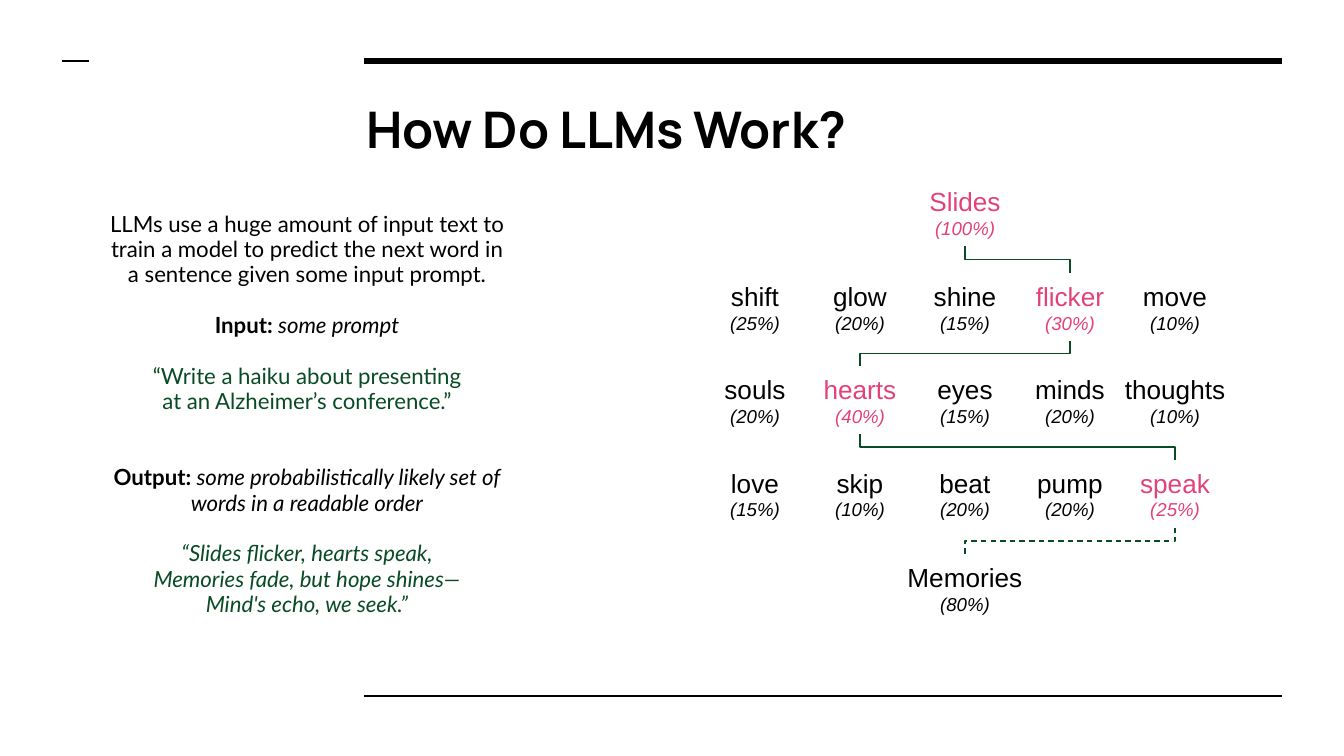
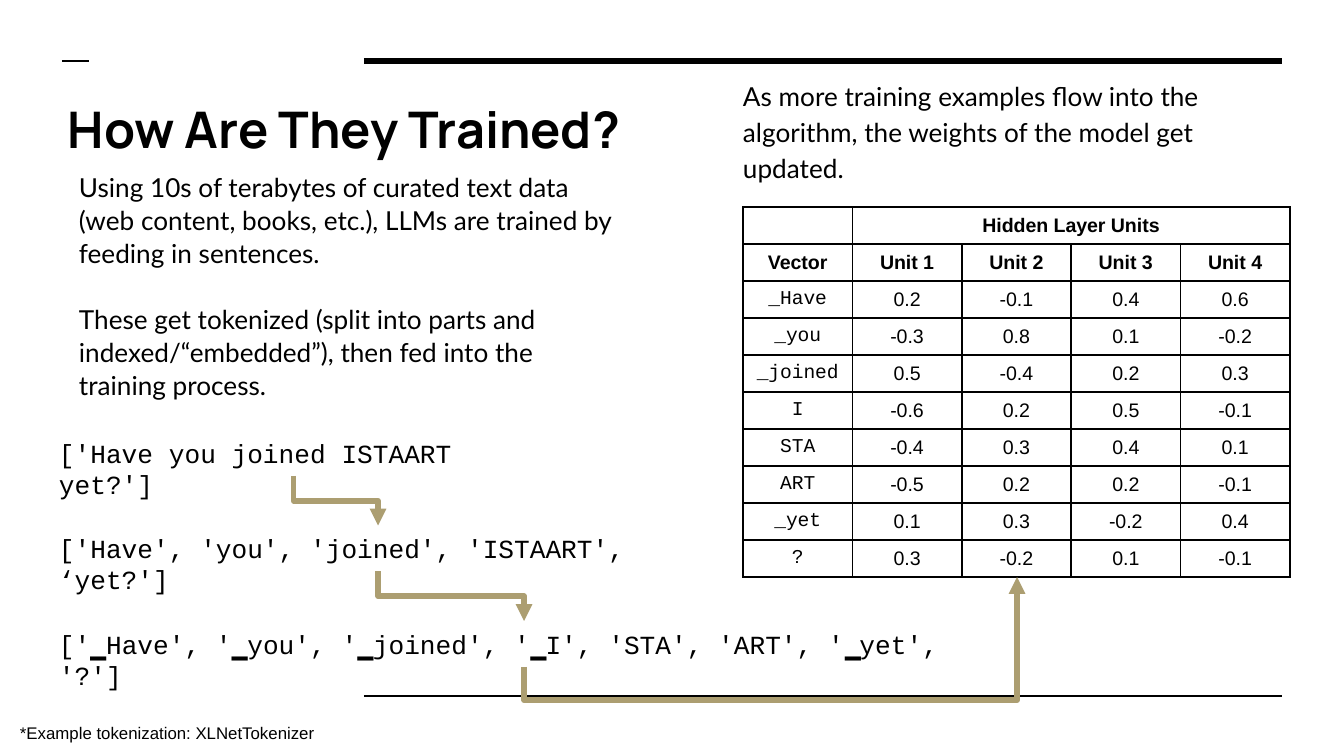
from lxml.etree import SubElement
from pptx import Presentation
from pptx.dml.color import RGBColor
from pptx.enum.dml import MSO_LINE
from pptx.enum.shapes import MSO_CONNECTOR as CONN
from pptx.enum.text import MSO_ANCHOR, MSO_AUTO_SIZE as AUTO, PP_ALIGN
from pptx.oxml import parse_xml
from pptx.oxml.ns import nsdecls, qn
from pptx.util import Pt

W, H = 1344, 756
EMU_PER_PX = 9144000 / W

BLACK = RGBColor(0x00, 0x00, 0x00)
GREEN = RGBColor(0x08, 0x4B, 0x25)
PINK = RGBColor(0xE3, 0x41, 0x7A)
GOLD = RGBColor(0xAC, 0x9E, 0x71)

TITLE_FONT, BODY_FONT, LABEL_FONT, CODE_FONT = "Manrope", "Lato", "Arial", "Courier New"
LABEL_INSETS = (13, 7, 13, 7)
TITLE_INSETS = (13, 13, 13, 13)
BODY_INSETS = (33, 13, 13, 13)

# Each paragraph: space before in points, then runs of (text, bold, italic, colour)
HOW_TEXT = [
    (0, [("LLMs use a huge amount of input text to train a model to predict "
          "the next word in a sentence given some input prompt.", False, False, BLACK)]),
    (13.6, [("Input: ", True, False, BLACK), ("some prompt", False, True, BLACK)]),
    (13.6, [("“Write a haiku about presenting", False, False, GREEN)]),
    (0, [("at an Alzheimer’s conference.”", False, False, GREEN)]),
    (27.2, [("Output: ", True, False, BLACK),
            ("some probabilistically likely set of words in a readable order",
             False, True, BLACK)]),
    (13.6, [("“Slides flicker, hearts speak,", False, True, GREEN)]),
    (0, [("Memories fade, but hope shines—", False, True, GREEN)]),
    (0, [("Mind's echo, we seek.”", False, True, GREEN)]),
]

# Each row: top, chosen column, and column -> (word, percent, width)
WORD_ROWS = [
    (0, 2, {2: ("Slides", 100, 99)}),
    (95, 3, {0: ("shift", 25, 78), 1: ("glow", 20, 82), 2: ("shine", 15, 90),
             3: ("flicker", 30, 95), 4: ("move", 10, 91)}),
    (188, 1, {0: ("souls", 20, 89), 1: ("hearts", 40, 101), 2: ("eyes", 15, 83),
              3: ("minds", 20, 97), 4: ("thoughts", 10, 128)}),
    (282, 4, {0: ("love", 15, 78), 1: ("skip", 10, 78), 2: ("beat", 20, 78),
              3: ("pump", 20, 93), 4: ("speak", 25, 97)}),
    (376, 2, {2: ("Memories", 80, 142)}),
]

TRAIN_TEXT = [
    "Using 10s of terabytes of curated text data (web content, books, etc.), "
    "LLMs are trained by feeding in sentences.",
    "These get tokenized (split into parts and indexed/“embedded”), "
    "then fed into the training process.",
]
WEIGHTS_TEXT = ["As more training examples flow into the algorithm, "
                "the weights of the model get updated."]
TOKEN_STEPS = [
    ("['Have you joined ISTAART yet?']", 495),
    ("['Have', 'you', 'joined', 'ISTAART', ‘yet?']", 664),
    ("['▁Have', '▁you', '▁joined', '▁I', 'STA', 'ART', '▁yet', '?']", 956),
]
VECTORS = [
    ("_Have", 0.2, -0.1, 0.4, 0.6),
    ("_you", -0.3, 0.8, 0.1, -0.2),
    ("_joined", 0.5, -0.4, 0.2, 0.3),
    ("I", -0.6, 0.2, 0.5, -0.1),
    ("STA", -0.4, 0.3, 0.4, 0.1),
    ("ART", -0.5, 0.2, 0.2, -0.1),
    ("_yet", 0.1, 0.3, -0.2, 0.4),
    ("?", 0.3, -0.2, 0.1, -0.1),
]


def px(n):
    return round(n * EMU_PER_PX)


def style(font, name, size, color=BLACK, bold=False, italic=False):
    font.name, font.size, font.bold, font.italic = name, Pt(size), bold, italic
    font.color.rgb = color


def add_box(slide, box, insets=LABEL_INSETS, wrap=True, grow=False):
    """Add an empty text box and return its text frame."""
    tf = slide.shapes.add_textbox(*map(px, box)).text_frame
    tf.margin_left, tf.margin_top, tf.margin_right, tf.margin_bottom = map(px, insets)
    tf.word_wrap = wrap
    tf.auto_size = AUTO.SHAPE_TO_FIT_TEXT if grow else AUTO.NONE
    return tf


def paragraph(tf, index):
    return tf.paragraphs[0] if index == 0 else tf.add_paragraph()


def add_line(slide, kind, points, color, width):
    line = slide.shapes.add_connector(kind, *map(px, points))
    line.line.color.rgb, line.line.width = color, Pt(width)
    SubElement(line._element.spPr, qn("a:effectLst"))
    return line


def add_elbow(slide, x1, y1, x2, y2, color, width, bend=None, arrow=False):
    """Join two points by a line that leaves and arrives vertically."""
    cx, cy = (x1 + x2) / 2, (y1 + y2) / 2
    turn = 1 if y2 < y1 else -1
    dx, dy = turn * (x2 - x1) / 2, turn * (y2 - y1) / 2
    line = add_line(slide, CONN.ELBOW, (cx - dy, cy + dx, cx + dy, cy - dx), color, width)
    sp_pr = line._element.spPr
    sp_pr.find(qn("a:xfrm")).set("rot", str(turn * 90 % 360 * 60000))
    if bend is not None:
        guides = sp_pr.find(qn("a:prstGeom")).find(qn("a:avLst"))
        SubElement(guides, qn("a:gd"), name="adj1", fmla=f"val {round(bend * 100000)}")
    if arrow:
        SubElement(sp_pr.find(qn("a:ln")), qn("a:tailEnd"), type="triangle")
    return line


def add_base(prs, title, box):
    """Add a slide with the shared rules and a title."""
    slide = prs.slides.add_slide(prs.slide_layouts[6])
    for x1, x2, y, width in ((364, 1282, 61, 3), (364, 1282, 696, 1.5), (62, 89, 61, 1.5)):
        add_line(slide, CONN.STRAIGHT, (x1, y, x2, y), BLACK, width)
    p = add_box(slide, box, TITLE_INSETS).paragraphs[0]
    p.text = title
    style(p.font, TITLE_FONT, 27, bold=True)
    return slide


def add_how_text(slide, box):
    tf = add_box(slide, box, BODY_INSETS)
    for i, (before, runs) in enumerate(HOW_TEXT):
        p = paragraph(tf, i)
        p.alignment, p.line_spacing = PP_ALIGN.CENTER, 0.95
        if before:
            p.space_before = Pt(before)
        for text, bold, italic, color in runs:
            r = p.add_run()
            r.text = text
            style(r.font, BODY_FONT, 11.9, color, bold, italic)


def add_word_tree(slide, left, top):
    """Draw rows of candidate words; left is the centre of the first column."""
    pitch, height = 105, 68
    for i, (row_top, chosen, words) in enumerate(WORD_ROWS):
        y = top + row_top
        last = i == len(WORD_ROWS) - 1
        for col, (word, percent, width) in words.items():
            box = (left + col * pitch - width / 2, y, width, height)
            tf = add_box(slide, box, wrap=False, grow=True)
            color = PINK if col == chosen and not last else BLACK
            for j, (text, size) in enumerate(((word, 14), (f"({percent}%)", 10))):
                p = paragraph(tf, j)
                p.text, p.alignment = text, PP_ALIGN.CENTER
                style(p.font, LABEL_FONT, size, color, italic=j == 1)
        if not last:
            next_top, next_chosen, _ = WORD_ROWS[i + 1]
            ends = sorted([(left + chosen * pitch, y + height),
                           (left + next_chosen * pitch, top + next_top)])
            line = add_elbow(slide, *ends[0], *ends[1], GREEN, 0.75)
            if i == len(WORD_ROWS) - 2:
                line.line.dash_style = MSO_LINE.DASH


def add_body(slide, box, texts, spacing):
    tf = add_box(slide, box, BODY_INSETS)
    for i, text in enumerate(texts):
        p = paragraph(tf, i)
        p.text, p.line_spacing = text, spacing
        if i:
            p.space_before = Pt(17.6)
        style(p.font, BODY_FONT, 14)


def add_token_steps(slide, left, top):
    pitch, height = 95.5, 46
    for i, (text, width) in enumerate(TOKEN_STEPS):
        box = (left, top + i * pitch, width, height)
        p = add_box(slide, box, grow=True).paragraphs[0]
        p.text = text
        style(p.font, CODE_FONT, 14)
    centres = [left + width / 2 for _, width in TOKEN_STEPS]
    for i, (x1, x2) in enumerate(zip(centres, centres[1:])):
        y = top + i * pitch
        add_elbow(slide, x1, y + height, x2, y + pitch, GOLD, 3, arrow=True)
    return centres[-1], top + 2 * pitch + height


def format_cell(cell, text, font, bold):
    cell.vertical_anchor = MSO_ANCHOR.MIDDLE
    cell.margin_left = cell.margin_right = px(4)
    p = cell.text_frame.paragraphs[0]
    p.text, p.alignment = text, PP_ALIGN.CENTER
    style(p.font, font, 10.5, bold=bold)
    p._p.get_or_add_endParaRPr().set("sz", "1050")
    cell.fill.background()
    for i, side in enumerate("LRTB"):
        cell._tc.tcPr.insert(i, parse_xml(
            f'<a:ln{side} w="12700" {nsdecls("a")}><a:solidFill>'
            f'<a:srgbClr val="{BLACK}"/></a:solidFill></a:ln{side}>'))


def add_vector_table(slide, box):
    rows = [("", "Hidden Layer Units", "", "", ""),
            ("Vector", *(f"Unit {n}" for n in range(1, 5))), *VECTORS]
    table = slide.shapes.add_table(len(rows), len(rows[0]), *map(px, box)).table
    table.first_row = table.horz_banding = False
    for i, row in enumerate(rows):
        for j, value in enumerate(row):
            font = CODE_FONT if i > 1 and j == 0 else LABEL_FONT
            format_cell(table.cell(i, j), str(value), font, i < 2)
    table.cell(0, 1).merge(table.cell(0, 4))


def build_how_slide(prs):
    slide = add_base(prs, "How Do LLMs Work?", (353, 85, 929, 93))
    add_how_text(slide, (71, 199, 452, 441))
    add_word_tree(slide, 755, 178)


def build_training_slide(prs):
    slide = add_base(prs, "How Are They Trained?", (55, 85, 1227, 93))
    add_body(slide, (46, 157, 587, 273), TRAIN_TEXT, 1.05)
    add_body(slide, (710, 63, 587, 503), WEIGHTS_TEXT, 1.15)
    end_x, end_y = add_token_steps(slide, 46, 430)
    p = add_box(slide, (7, 716, 325, 34), wrap=False, grow=True).paragraphs[0]
    p.text = "*Example tokenization: XLNetTokenizer"
    style(p.font, LABEL_FONT, 9)
    add_vector_table(slide, (743, 207, 547, 370))
    add_elbow(slide, end_x, end_y, 1017, 577, GOLD, 3, bend=-0.37, arrow=True)


def main():
    prs = Presentation()
    prs.slide_width, prs.slide_height = px(W), px(H)
    build_how_slide(prs)
    build_training_slide(prs)
    prs.save("out.pptx")


if __name__ == "__main__":
    main()
